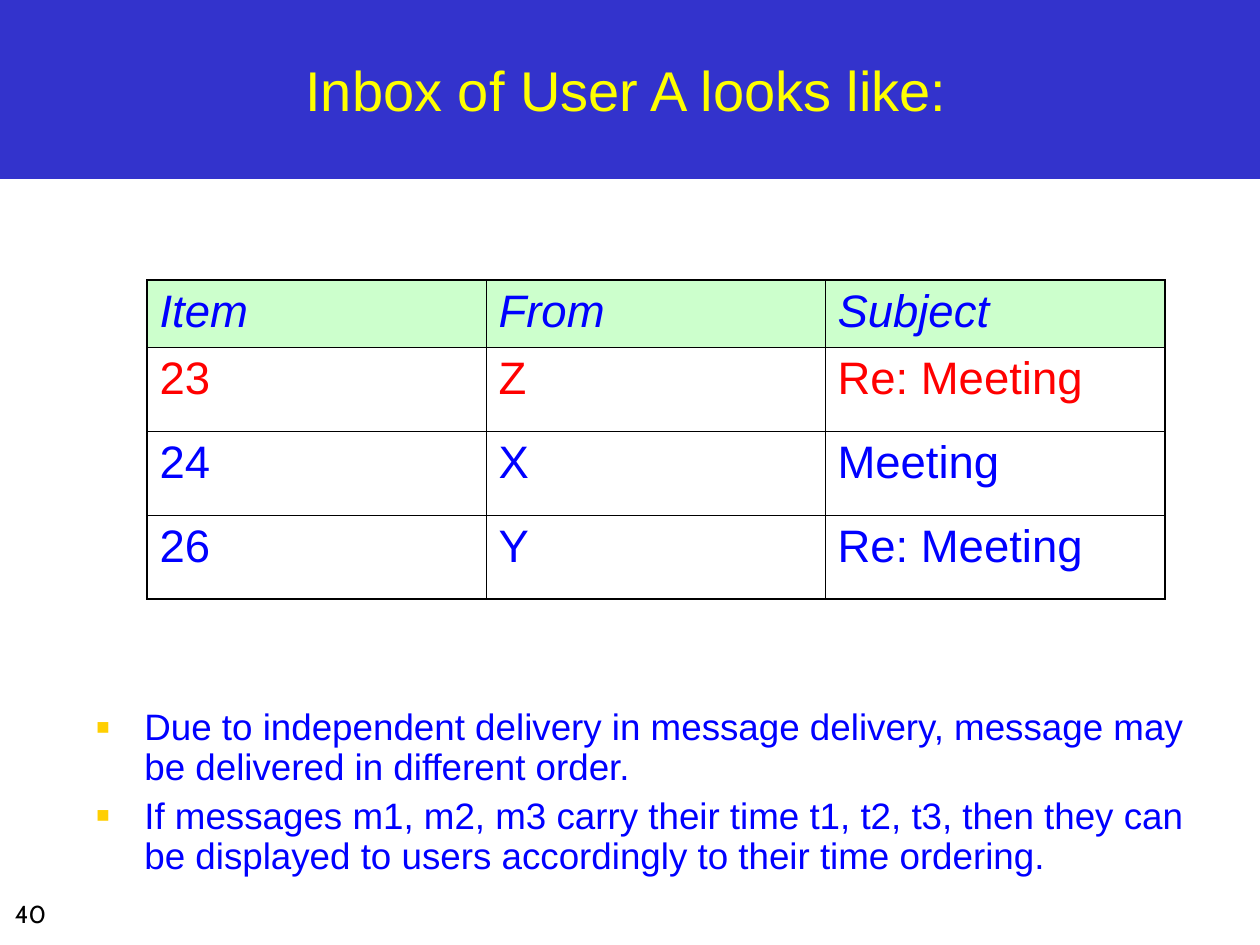
"""Build the slide that shows the inbox of user A."""
from dataclasses import dataclass
from typing import NamedTuple

from lxml.etree import SubElement as Sub
from pptx import Presentation as Deck
from pptx.dml.color import RGBColor as Rgb
from pptx.enum.shapes import MSO_SHAPE as Shape
from pptx.enum.text import MSO_ANCHOR as Anchor, PP_ALIGN as Align
from pptx.oxml.ns import qn
from pptx.util import Emu, Pt

SCALE = 914400 / 126


@dataclass(frozen=True)
class Theme:
    band: str = "3333CC"
    title: str = "FFFF00"
    text: str = "0000FF"
    late: str = "FF0000"
    head: str = "CCFFCC"
    mark: str = "FFCF01"
    ink: str = "000000"
    font: str = "Arial"
    num_font: str = "Cabin"
    title_size: int = 32
    cell_size: int = 26
    list_size: int = 21
    num_size: int = 14
    thin: float = 0.45
    thick: float = 1.08


class Box(NamedTuple):
    left: int
    top: int
    width: int
    height: int


class Mail(NamedTuple):
    item: str
    sender: str
    subject: str
    color: str


THEME = Theme()
MAILS = [
    Mail("23", "Z", "Re: Meeting", THEME.late),
    Mail("24", "X", "Meeting", THEME.text),
    Mail("26", "Y", "Re: Meeting", THEME.text),
]
NOTES = [
    "Due to independent delivery in message delivery, message may be delivered in different order.",
    "If messages m1, m2, m3 carry their time t1, t2, t3, then they can be displayed to users "
    "accordingly to their time ordering.",
]


def px(count: int) -> Emu:
    return Emu(round(count * SCALE))


def place(box: Box) -> list[Emu]:
    return [px(side) for side in box]


def write(para, text: str, *, size: int, color: str, font: str = THEME.font,
          italic: bool = False, align=Align.LEFT) -> None:
    para.alignment = align
    run = para.add_run()
    run.text = text
    face = run.font
    face.name, face.size, face.italic, face.bold = font, Pt(size), italic, False
    face.color.rgb = Rgb.from_string(color)


def add_box(slide, box: Box, wrap: bool = True, anchor=Anchor.TOP):
    frame = slide.shapes.add_textbox(*place(box)).text_frame
    frame.word_wrap = wrap
    frame.vertical_anchor = anchor
    return frame


def add_band(slide, box: Box) -> None:
    band = slide.shapes.add_shape(Shape.RECTANGLE, *place(box))
    band.shadow.inherit = False
    band.fill.solid()
    band.fill.fore_color.rgb = Rgb.from_string(THEME.band)
    band.line.fill.background()


def add_mark(para) -> None:
    props = para._p.get_or_add_pPr()
    props.set("marL", str(px(48)))
    props.set("indent", str(px(-48)))
    Sub(Sub(props, qn("a:buClr")), qn("a:srgbClr"), val=THEME.mark)
    Sub(props, qn("a:buSzPct"), val="60000")
    Sub(props, qn("a:buFont"), typeface=THEME.font)
    Sub(props, qn("a:buChar"), char="■")


def add_list(slide, box: Box, notes: list[str]) -> None:
    frame = add_box(slide, box)
    for spot, note in enumerate(notes):
        para = frame.add_paragraph() if spot else frame.paragraphs[0]
        add_mark(para)
        para.line_spacing = 0.9
        para.space_before = Pt(5.2 if spot else 0)
        write(para, note, size=THEME.list_size, color=THEME.text)


def edge(cell, outer: dict[str, bool]) -> None:
    props = cell._tc.get_or_add_tcPr()
    for spot, (side, thick) in enumerate(outer.items()):
        width = Pt(THEME.thick if thick else THEME.thin)
        line = props.makeelement(qn(f"a:ln{side}"), {"w": str(width)})
        Sub(Sub(line, qn("a:solidFill")), qn("a:srgbClr"), val=THEME.ink)
        props.insert(spot, line)


def add_grid(slide, box: Box, heads: list[str], mails: list[Mail]) -> None:
    rows, cols = len(mails) + 1, len(heads)
    grid = slide.shapes.add_table(rows, cols, *place(box)).table
    grid.first_row = grid.horz_banding = False
    for col in range(cols):
        grid.columns[col].width = px(box.width * (col + 1) // cols - box.width * col // cols)
    for row, line in enumerate([heads, *mails]):
        top = row == 0
        grid.rows[row].height = px(67 if top else 84)
        for col in range(cols):
            cell = grid.cell(row, col)
            if top:
                cell.fill.solid()
                cell.fill.fore_color.rgb = Rgb.from_string(THEME.head)
            else:
                cell.fill.background()
            edge(cell, {"L": col == 0, "R": col == cols - 1, "T": top, "B": row == rows - 1})
            write(cell.text_frame.paragraphs[0], line[col], size=THEME.cell_size,
                  color=THEME.text if top else line.color, italic=top)


def main() -> None:
    deck = Deck()
    deck.slide_width, deck.slide_height = px(1260), px(945)
    slide = deck.slides.add_slide(deck.slide_layouts[6])
    add_band(slide, Box(0, 0, 1260, 179))
    number = add_box(slide, Box(-42, 893, 145, 47), wrap=False)
    write(number.paragraphs[0], "40", size=THEME.num_size, color=THEME.ink,
          font=THEME.num_font, align=Align.CENTER)
    title = add_box(slide, Box(21, 21, 1211, 136), anchor=Anchor.MIDDLE)
    write(title.paragraphs[0], "Inbox of User A looks like:", size=THEME.title_size,
          color=THEME.title, align=Align.CENTER)
    add_list(slide, Box(84, 703, 1144, 189), NOTES)
    add_grid(slide, Box(147, 280, 1018, 319), ["Item", "From", "Subject"], MAILS)
    deck.save("out.pptx")


if __name__ == "__main__":
    main()
